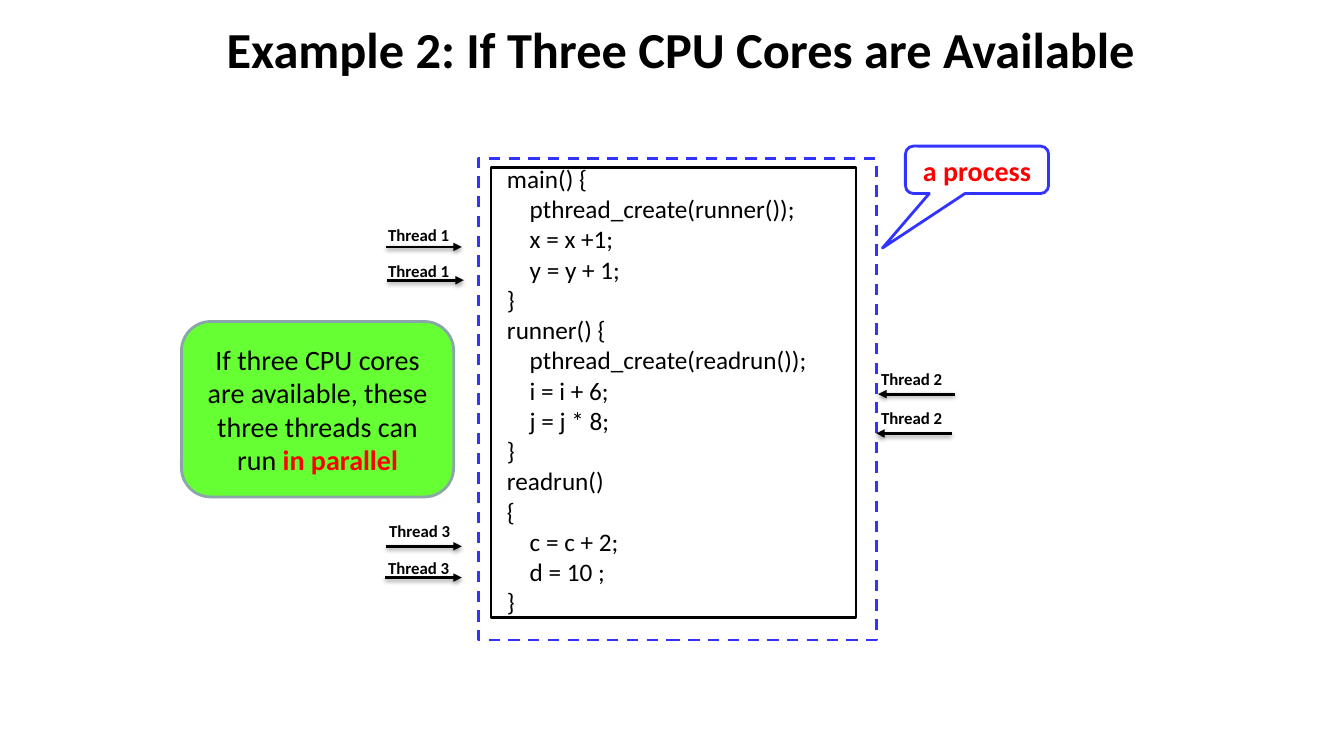
"""Builds the slide on three threads that run in parallel on three CPU cores."""
from lxml.etree import SubElement
from pptx import Presentation
from pptx.dml.color import RGBColor
from pptx.enum.dml import MSO_LINE
from pptx.enum.shapes import MSO_CONNECTOR, MSO_SHAPE
from pptx.enum.text import MSO_ANCHOR, PP_ALIGN
from pptx.oxml import parse_xml
from pptx.oxml.ns import qn
from pptx.util import Pt

PX = 9144
BLACK, RED, BLUE = "000000", "FF0000", "3333FF"
SHADOW = (
    '<a:effectLst xmlns:a="http://schemas.openxmlformats.org/drawingml/2006/main">'
    '<a:outerShdw blurRad="40000" dist="20000" dir="5400000" rotWithShape="0">'
    '<a:srgbClr val="000000"><a:alpha val="38000"/></a:srgbClr>'
    '</a:outerShdw></a:effectLst>'
)


def paint(part, color):
    """Gives a fill, line or font a hex colour."""
    if hasattr(part, "solid"):
        part.solid()
        part.fore_color.rgb = RGBColor.from_string(color)
    else:
        part.color.rgb = RGBColor.from_string(color)


def write(para, text, size, color=BLACK, bold=False):
    """Adds one run to a paragraph."""
    run = para.add_run()
    run.text = text
    run.font.name = "Calibri"
    run.font.size = Pt(size)
    run.font.bold = bold
    paint(run.font, color)


deck = Presentation()
deck.slide_width, deck.slide_height = 1333 * PX, 750 * PX
slide = deck.slides.add_slide(deck.slide_layouts[5])
shapes = slide.shapes

title = shapes.title
title.left, title.top, title.width, title.height = 180 * PX, 2 * PX, 991 * PX, 92 * PX
title.text_frame.vertical_anchor = MSO_ANCHOR.MIDDLE
para = title.text_frame.paragraphs[0]
para.alignment = PP_ALIGN.CENTER
write(para, "Example 2: If Three CPU Cores are Available", 36, bold=True)

boxes = [
    (MSO_SHAPE.RECTANGLE, (487, 166, 362, 447), "FFFFFF", BLACK, []),
    (MSO_SHAPE.RECTANGLE, (475, 157, 394, 478), None, BLUE, []),
    (MSO_SHAPE.ROUNDED_RECTANGULAR_CALLOUT, (898, 145, 142, 47), None, BLUE,
     [("a process", RED, True)]),
    (MSO_SHAPE.ROUNDED_RECTANGLE, (180, 319, 270, 174), "66FF33", "8AA6A8",
     [("If three CPU cores are available, these three threads can run ", BLACK, False),
      ("in parallel", RED, True)]),
]
made = []
for kind, place, fill, edge, runs in boxes:
    box = shapes.add_shape(kind, *[n * PX for n in place])
    box.shadow.inherit = False
    if fill:
        paint(box.fill, fill)
    else:
        box.fill.background()
    paint(box.line, edge)
    box.line.width = Pt(2)
    frame = box.text_frame
    frame.word_wrap = True
    frame.vertical_anchor = MSO_ANCHOR.MIDDLE
    frame.paragraphs[0].alignment = PP_ALIGN.CENTER
    for text, color, bold in runs:
        write(frame.paragraphs[0], text, 20, color, bold)
    made.append(box)

made[1].line.dash_style = MSO_LINE.DASH
callout = made[2]
callout.adjustments[0] = -0.66
callout.adjustments[1] = 1.65
callout.adjustments[2] = 0.17

code = """main() {
    pthread_create(runner());
    x = x +1;
    y = y + 1;
}
runner() {
    pthread_create(readrun());
    i = i + 6;
    j = j * 8;
}
readrun()
{
    c = c + 2;
    d = 10 ;
}"""
frame = shapes.add_textbox(493 * PX, 157 * PX, 331 * PX, 464 * PX).text_frame
frame.word_wrap = True
for row, text in enumerate(code.split("\n")):
    para = frame.add_paragraph() if row else frame.paragraphs[0]
    write(para, text, 18)

threads = [
    (1, 375, 218, 383, 458, 245),
    (1, 375, 254, 384, 460, 278),
    (2, 864, 361, 947, 871, 391),
    (2, 864, 400, 944, 869, 430),
    (3, 376, 512, 383, 458, 542),
    (3, 375, 548, 382, 458, 573),
]
for num, left, top, start, end, y in threads:
    frame = shapes.add_textbox(left * PX, top * PX, 102 * PX, 30 * PX).text_frame
    frame.word_wrap = True
    write(frame.paragraphs[0], f"Thread {num}", 12, bold=True)
    arrow = shapes.add_connector(
        MSO_CONNECTOR.STRAIGHT, start * PX, y * PX, end * PX, y * PX)
    paint(arrow.line, BLACK)
    arrow.line.width = Pt(2)
    SubElement(arrow.line._get_or_add_ln(), qn("a:tailEnd"), type="triangle")
    arrow._element.spPr.append(parse_xml(SHADOW))

deck.save("out.pptx")
